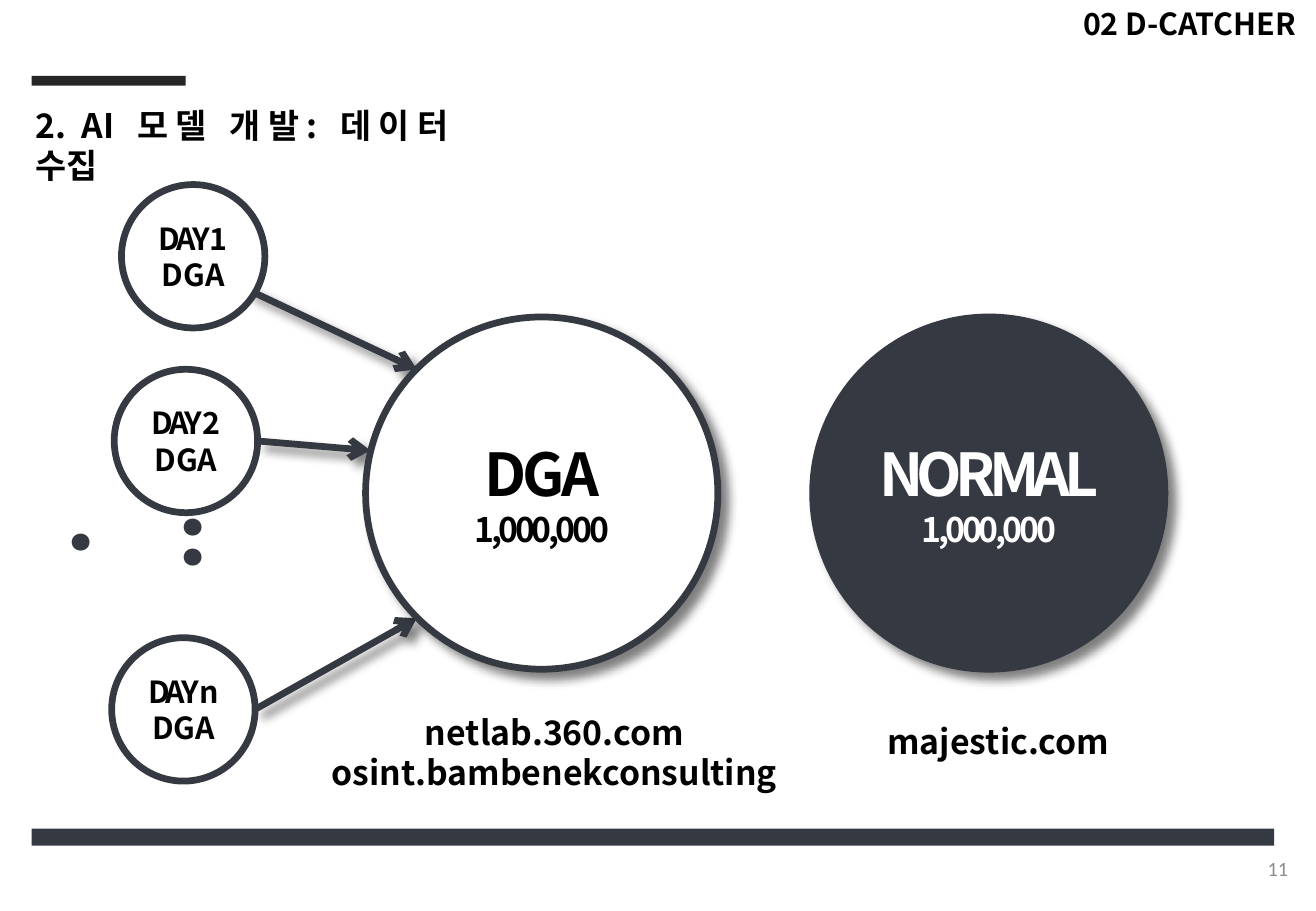
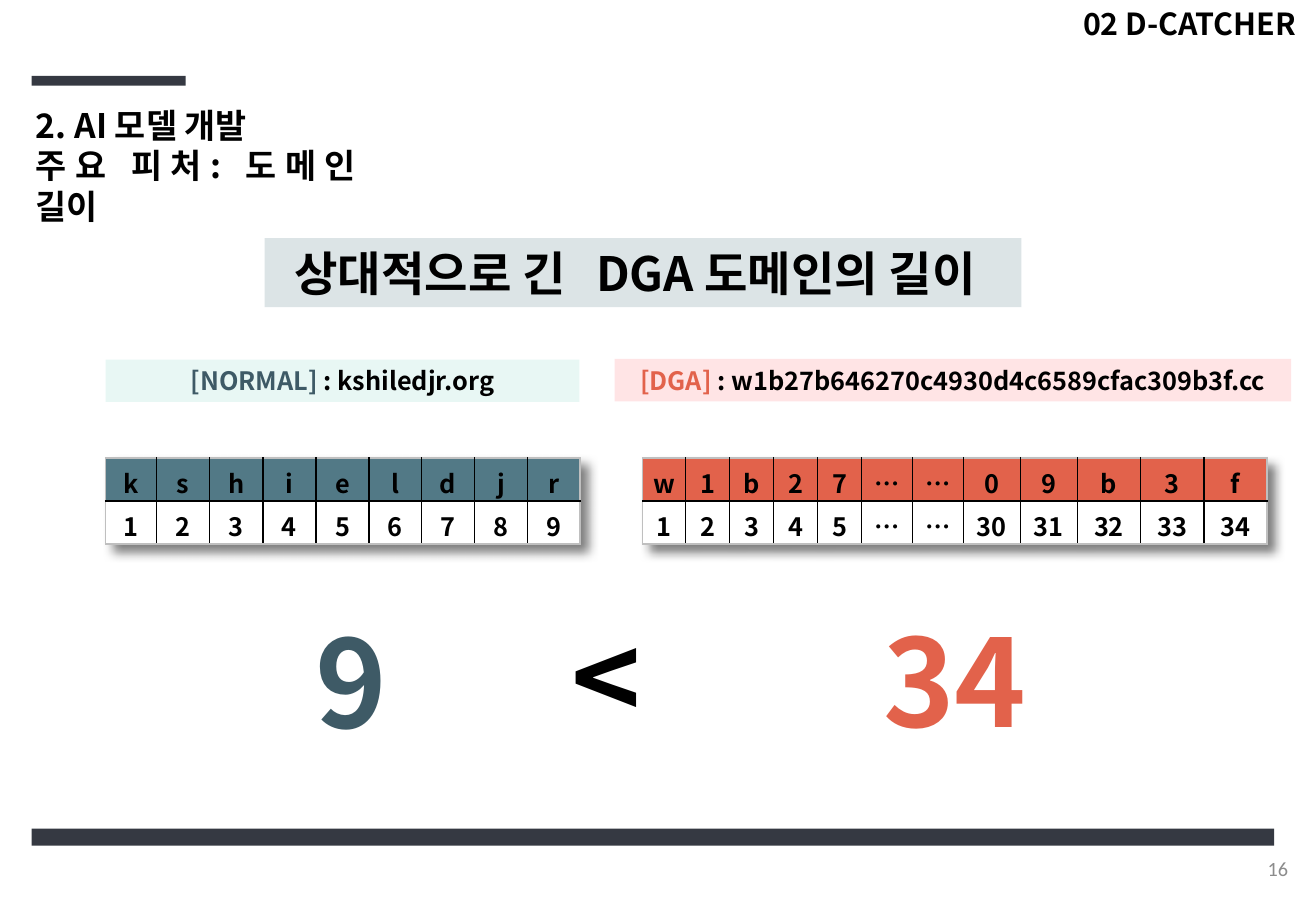
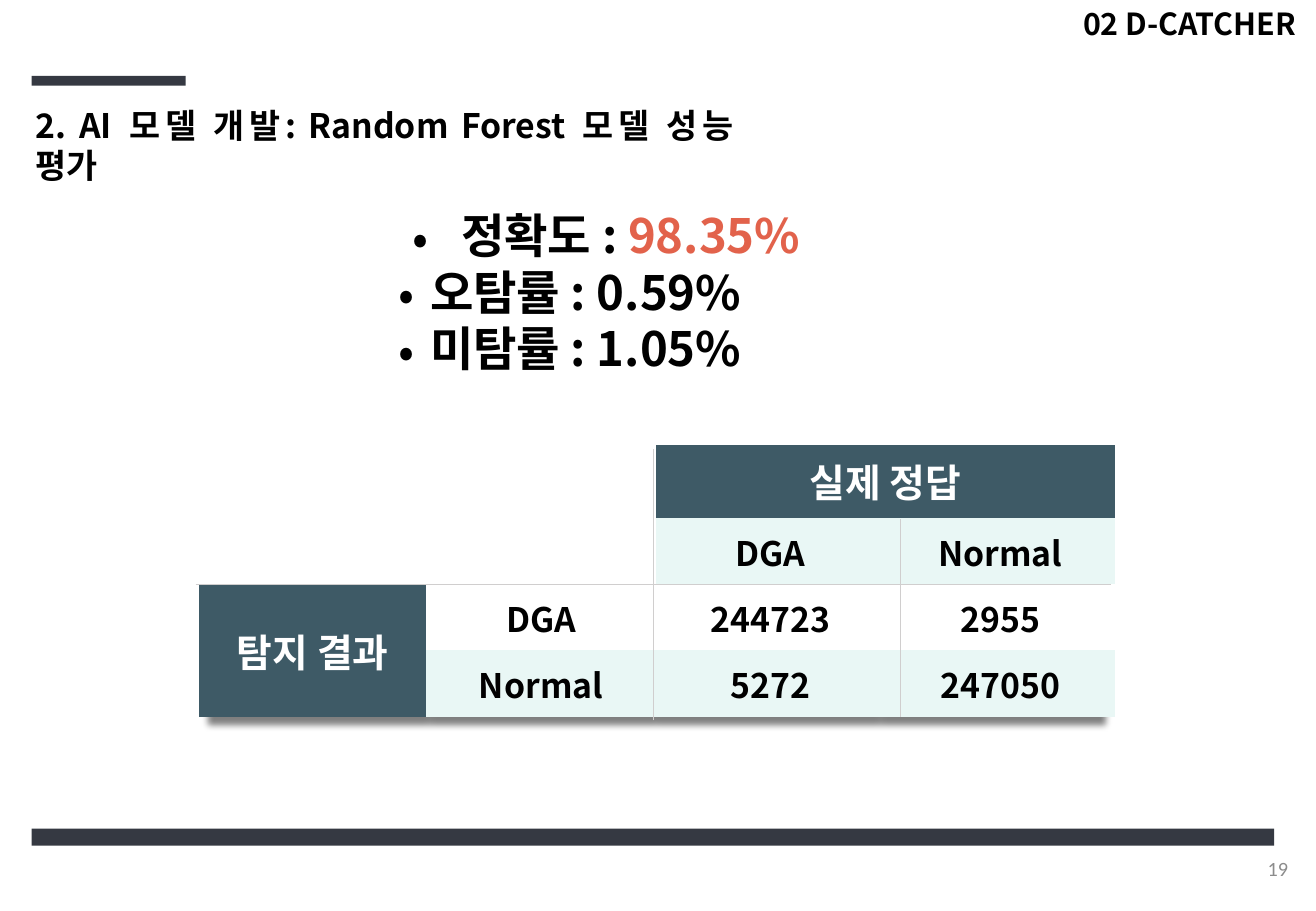
from itertools import accumulate

from lxml.etree import SubElement
from pptx import Presentation
from pptx.dml.color import RGBColor
from pptx.enum.shapes import MSO_CONNECTOR as Connector, MSO_SHAPE as Shape
from pptx.enum.text import MSO_ANCHOR as Anchor, PP_ALIGN as Align
from pptx.oxml.ns import qn
from pptx.util import Pt

COLORS = {
    "black": "000000", "white": "FFFFFF", "dark": "353942", "bar": "262626",
    "slate": "3E5A66", "teal": "527986", "red": "E2624B", "mint": "8DD8CC",
    "pink": "FF7C80", "pale": "E9F7F5", "rule": "D0CECE", "edge": "BFBFBF",
    "number": "8C8C8C",
}
FONT = "Noto Sans CJK KR"
LINE = 1.2  # line height per point of text
NO_STYLE = "{2D5ABB26-0587-4C30-8999-92F81FD0307C}"

# Titles: paragraphs, each a list of lines
COLLECT_TITLE = [["2. AI 모델 개발: 데이터", "수집"]]
LENGTH_TITLE = [["2. AI 모델 개발"], ["주요 피처: 도메인", "길이"]]
RESULT_TITLE = [["2. AI 모델 개발: Random Forest 모델 성능", "평가"]]

# Data collection
DAYS = [("DAY 1", 72, 109.4), ("DAY 2", 67.7, 218.9), ("DAY n", 66.2, 378)]
ARROWS = [(146.2, 171.4, 247, 218.9), (152.6, 261.4, 219.6, 267.1),
          (151.2, 420.5, 247, 366.5)]
DATASETS = [("NORMAL", -4, 481.7, "dark", "white"),
            ("DGA", -2, 216.7, "white", "black")]
SOURCES = [(["netlab.360.com", "osint.bambenekconsulting"], (188.6, 418.3, 280.1, 55.4)),
           (["majestic.com"], (487.4, 423.4, 208.8, 31.7))]

# Domain length: heading as text and letter spacing
HEADING = [("상대적으로 긴", 0), (" ", 11.8), ("DGA 도메인의 길이", 0)]
EXAMPLES = [
    {"label": "[NORMAL] ", "domain": ": kshiledjr.org", "ink": "slate", "tint": "mint",
     "strip": (62.6, 213.1, 280.8, 25.2), "head": "teal", "table": (62.6, 271.4),
     "letters": list("kshieldjr"), "places": list("123456789"),
     "widths": [30.2, 31.5, 31.5, 31.5, 31.5, 31, 31.5, 31.5, 31],
     "total": "9", "total_box": (184.7, 356.4, 46.8, 94.3)},
    {"label": "[DGA] ", "domain": ": w1b27b646270c4930d4c6589cfac309b3f.cc",
     "ink": "red", "tint": "pink",
     "strip": (364.3, 212.8, 401, 25.2), "head": "red", "table": (380.9, 271.4),
     "letters": list("w1b27……09b3f"),
     "places": list("12345……") + ["30", "31", "32", "33", "34"],
     "widths": [25.4] + [26.1] * 4 + [30.2] * 2 + [33.8] * 2 + [37.5] * 3,
     "total": "34", "total_box": (511.9, 355.7, 108, 94.3)},
]

# Model results: bullet indent, name, value, value colour
SCORES = [(37, "정확도 :", " 98.35%", "red"), (18.5, "오탐률 :", " 0.59%", "black"),
          (18.5, "미탐률 :", " 1.05%", "black")]
MATRIX = [["", "", "실제 정답", ""], ["", "", "DGA", "Normal"],
          ["탐지 결과", "DGA", "244723", "2955"], ["", "Normal", "5272", "247050"]]
MERGES = [((0, 2), (0, 3)), ((2, 0), (3, 0))]
MATRIX_WIDTHS = [134.6, 136.1, 136.1, 136.1]
MATRIX_HEIGHTS = [43.5, 39.3, 39.3, 39.3]
RULES = [(115.9, 346.3, 658.8, 346.3), (387.4, 427, 387.4, 266.4),
         (533.5, 424.8, 533.5, 307.4)]


def rgb(name):
    return RGBColor.from_string(COLORS[name])


def set_font(font, size, color="black", spacing=0, name=FONT):
    font.size, font.bold, font.name = Pt(size), name == FONT, name
    font.color.rgb = rgb(color)
    SubElement(font._rPr, qn("a:ea"), typeface=name)
    if spacing:
        font._rPr.set("spc", str(round(spacing * 100)))


def set_insets(holder, side=0, edge=3.6, shift=0):
    holder.margin_left = holder.margin_right = Pt(side)
    holder.margin_top, holder.margin_bottom = Pt(edge + shift), Pt(max(edge - shift, 0))


def next_para(frame, size, align=Align.CENTER):
    first = frame.paragraphs[0]
    para = frame.add_paragraph() if first.runs else first
    para.alignment, para.line_spacing = align, Pt(round(LINE * size, 2))
    return para


def add_span(para, text, size, color="black", spacing=0):
    span = para.add_run()
    span.text = text
    set_font(span.font, size, color, spacing)


def write(frame, lines, size, color="black", spacing=0, align=Align.CENTER, name=FONT):
    para = next_para(frame, size, align)
    for index, text in enumerate(lines):
        if index:
            para.add_line_break()
        para.add_run().text = text
    set_font(para.font, size, color, spacing, name)


def add_text(page, place, side=0, anchor=Anchor.TOP):
    frame = page.shapes.add_textbox(*map(Pt, place)).text_frame
    frame.word_wrap, frame.vertical_anchor = True, anchor
    set_insets(frame, side)
    return frame


def add_shadow(parent, blur=6, distance=6, angle=45, scale=100, first=False):
    effects = SubElement(parent, qn("a:effectLst"))
    shadow = SubElement(effects, qn("a:outerShdw"), blurRad=str(Pt(blur)),
                        dist=str(Pt(distance)), dir=str(angle * 60000),
                        sx=str(scale * 1000), algn="t", rotWithShape="0")
    ink = SubElement(shadow, qn("a:srgbClr"), val=COLORS["black"])
    SubElement(ink, qn("a:alpha"), val="50000")
    if first:
        parent.insert(0, effects)


def add_block(page, kind, place, fill, outline=None, opacity=100, shadow=False,
              anchor=Anchor.TOP):
    block = page.shapes.add_shape(kind, *map(Pt, place))
    block.fill.solid()
    block.fill.fore_color.rgb = rgb(fill)
    if opacity < 100:
        ink = block._element.spPr.find(qn("a:solidFill"))[0]
        SubElement(ink, qn("a:alpha"), val=str(opacity * 1000))
    if outline:
        block.line.color.rgb, block.line.width = rgb(outline), Pt(4)
    else:
        block.line.fill.background()
    if shadow:
        add_shadow(block._element.spPr)
    else:
        block.shadow.inherit = False
    frame = block.text_frame
    frame.word_wrap, frame.vertical_anchor = True, anchor
    set_insets(frame)
    return frame


def add_line(page, ends, color, width, arrow=False):
    line = page.shapes.add_connector(Connector.STRAIGHT, *map(Pt, ends))
    line.line.color.rgb, line.line.width = rgb(color), Pt(width)
    properties = line._element.spPr
    if arrow:
        SubElement(properties.find(qn("a:ln")), qn("a:tailEnd"), type="arrow")
        add_shadow(properties)
    else:
        SubElement(properties, qn("a:effectLst"))


def add_grid(page, left, top, widths, heights, **shadow):
    width, height = list(accumulate(widths))[-1], sum(heights)
    table = page.shapes.add_table(len(heights), len(widths), Pt(left), Pt(top),
                                  Pt(width), Pt(height)).table
    table.first_row = table.horz_banding = False
    properties = table._tbl.tblPr
    properties.find(qn("a:tableStyleId")).text = NO_STYLE
    add_shadow(properties, first=True, **shadow)
    for column, size in zip(table.columns, widths):
        column.width = Pt(size)
    for row, size in zip(table.rows, heights):
        row.height = Pt(size)
    return table


def fill_cell(cell, fill, text, size, color, edge, shift):
    cell.fill.solid()
    cell.fill.fore_color.rgb = rgb(fill)
    set_insets(cell, edge=edge, shift=shift)
    if text:
        write(cell.text_frame, [text], size, color)


def set_borders(cell, outer):
    """Black inside the grid, light along its outer sides."""
    properties = cell._tc.get_or_add_tcPr()
    for index, (side, is_outer) in enumerate(outer.items()):
        line = SubElement(properties, qn("a:" + side), w=str(Pt(1)))
        fill = SubElement(line, qn("a:solidFill"))
        SubElement(fill, qn("a:srgbClr"), val=COLORS["edge" if is_outer else "black"])
        properties.insert(index, line)


def start_page(deck, title, title_width, number, accent="dark"):
    page = deck.slides.add_slide(deck.slide_layouts[6])
    add_block(page, Shape.RECTANGLE, (18.7, 45, 91.4, 5.8), accent)
    add_block(page, Shape.RECTANGLE, (18.7, 491.2, 736.6, 10.1), "dark")
    frame = add_text(page, (14.2, 58.3, title_width, 31.7), side=7.2)
    for lines in title:
        write(frame, lines, 20, align=Align.JUSTIFY)
    section = add_text(page, (642, -0.4, 138, 28.8))
    write(section, ["02 D-CATCHER"], 18, align=Align.LEFT)
    footer = add_text(page, (595.4, 500.4, 175.2, 28.8), 7.2, Anchor.MIDDLE)
    write(footer, [number], 12, "number", align=Align.RIGHT, name="Calibri")
    return page


def add_circle(page, place, fill, lines, color="black", shadow=False):
    frame = add_block(page, Shape.OVAL, place, fill, "dark", shadow=shadow,
                      anchor=Anchor.MIDDLE)
    for text, size, spacing in lines:
        write(frame, [text], size, color, spacing)


def build_collection(deck):
    page = start_page(deck, COLLECT_TITLE, 263, "11", "bar")
    for ends in ARROWS:
        add_line(page, ends, "dark", 4, arrow=True)
    for day, left, top in DAYS:
        add_circle(page, (left, top, 85, 85), "white", [(day, 18, -2), ("DGA", 18, 0)])
    for name, spacing, left, fill, ink in DATASETS:
        add_circle(page, (left, 187.9, 208.8, 208.8), fill,
                   [(name, 35, spacing), ("1,000,000", 20, -2)], ink, shadow=True)
    for lines, place in SOURCES:
        frame = add_text(page, place)
        for text in lines:
            write(frame, [text], 20)
    # Vertical dots between the second and the last day
    dots = add_text(page, (28, 296.6, 140.4, 90), side=3.6)
    dots._txBody.bodyPr.set("vert", "eaVert")
    write(dots, ["..", "."], 55, "dark")


def build_length(deck):
    page = start_page(deck, LENGTH_TITLE, 208.8, "16")
    heading = add_block(page, Shape.RECTANGLE, (156.8, 141.1, 448.6, 41), "teal", opacity=20)
    heading.margin_right = Pt(9.4)
    para = next_para(heading, 28)
    for text, spacing in HEADING:
        add_span(para, text, 28, spacing=spacing)
    for example in EXAMPLES:
        strip = add_block(page, Shape.RECTANGLE, example["strip"], example["tint"], opacity=20)
        para = next_para(strip, 15)
        add_span(para, example["label"], 15, example["ink"])
        add_span(para, example["domain"], 15)
        # Letters above their places
        widths = example["widths"]
        table = add_grid(page, *example["table"], widths, [25.5, 25.5])
        last = len(widths) - 1
        for row, texts in enumerate((example["letters"], example["places"])):
            for column, text in enumerate(texts):
                cell = table.cell(row, column)
                fill = "white" if row else example["head"]
                fill_cell(cell, fill, text, 15, "black", 3.6, 3.8)
                set_borders(cell, {"lnL": column == 0, "lnR": column == last,
                                   "lnT": row == 0, "lnB": row == 1})
        write(add_text(page, example["total_box"]), [example["total"]], 72, example["ink"])
    write(add_text(page, (324.4, 355, 69.8, 92.2)), ["<"], 70)


def build_results(deck):
    page = start_page(deck, RESULT_TITLE, 430.6, "19")
    scores = add_text(page, (229.3, 118.8, 303.8, 108.7), side=7.2)
    for indent, name, value, ink in SCORES:
        para = next_para(scores, 28, Align.LEFT)
        properties = para._p.get_or_add_pPr()
        properties.set("marL", str(Pt(indent)))
        properties.set("indent", str(-Pt(min(indent, 29))))
        SubElement(properties, qn("a:buFont"), typeface=FONT)
        SubElement(properties, qn("a:buChar"), char="•")
        add_span(para, name, 28)
        add_span(para, value, 28, ink)
    # Confusion matrix
    table = add_grid(page, 118.1, 263.5, MATRIX_WIDTHS, MATRIX_HEIGHTS,
                     blur=4, distance=4.5, angle=90, scale=98)
    for start, end in MERGES:
        table.cell(*start).merge(table.cell(*end))
    heads = [start for start, _ in MERGES]
    for row, texts in enumerate(MATRIX):
        for column, text in enumerate(texts):
            cell = table.cell(row, column)
            cell.vertical_anchor = Anchor.MIDDLE
            if (row, column) in heads:
                fill_cell(cell, "slate", text, 23, "white", 4.3, 2.7)
            else:
                fill = "pale" if text and row % 2 else "white"
                fill_cell(cell, fill, text, 20, "black", 4.3, 2.7)
    for ends in RULES:
        add_line(page, ends, "rule", 0.5)


def main():
    deck = Presentation()
    deck.slide_width, deck.slide_height = Pt(780), Pt(540)
    build_collection(deck)
    build_length(deck)
    build_results(deck)
    deck.save("out.pptx")


if __name__ == "__main__":
    main()
